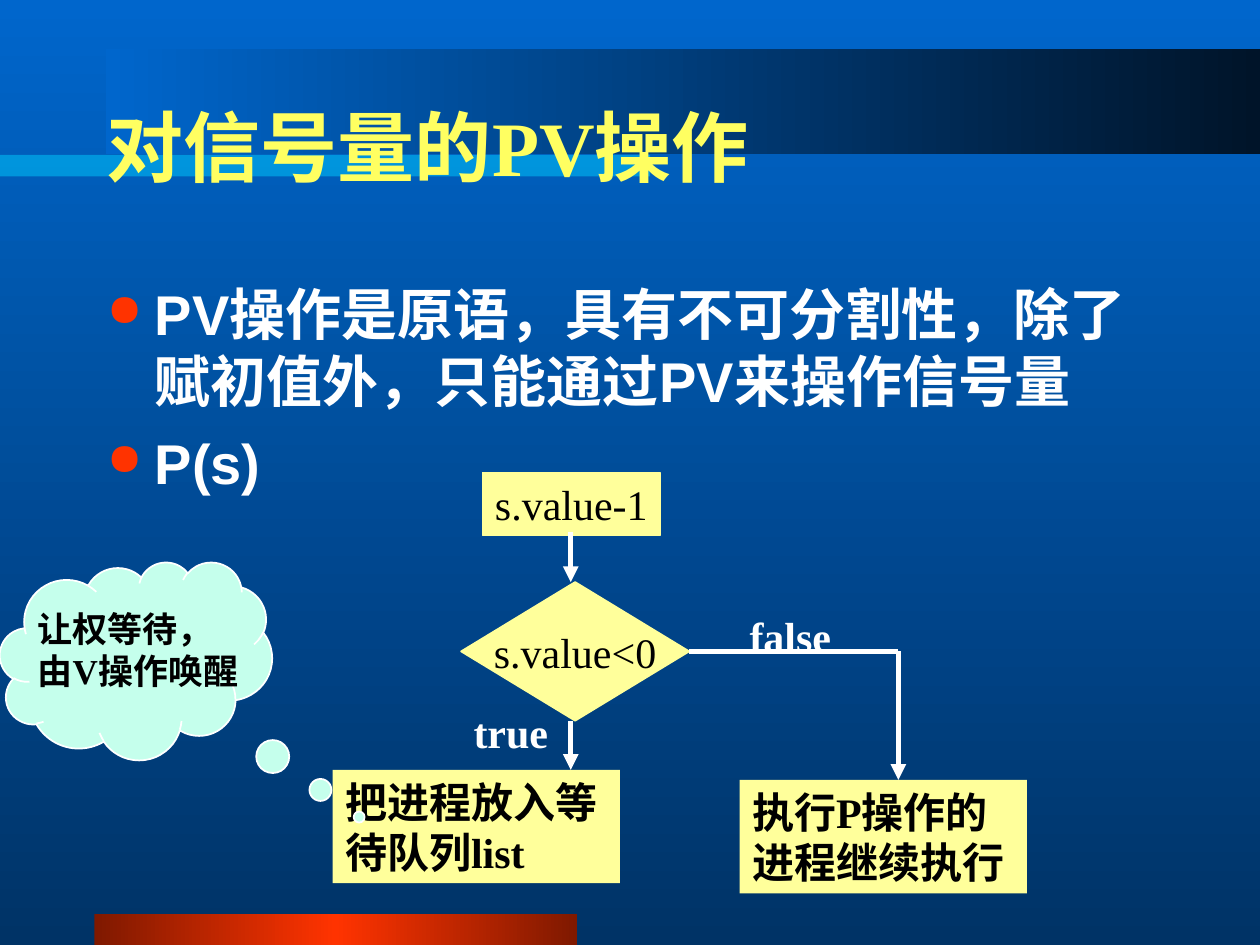
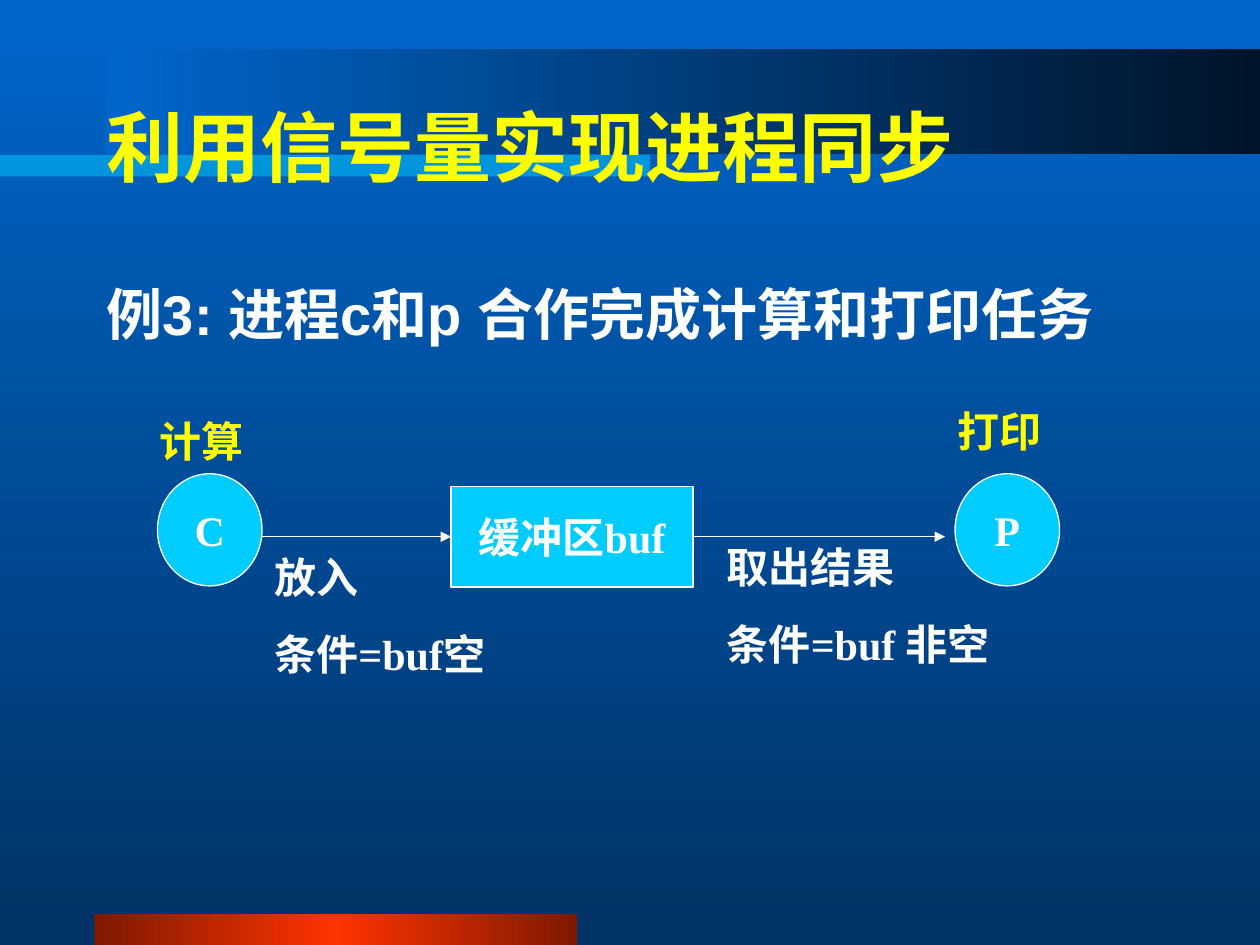
from copy import deepcopy

from lxml.etree import SubElement
from pptx import Presentation
from pptx.dml.color import RGBColor
from pptx.enum.shapes import MSO_CONNECTOR, MSO_SHAPE
from pptx.enum.text import MSO_ANCHOR, MSO_AUTO_SIZE, PP_ALIGN
from pptx.oxml.ns import qn
from pptx.util import Inches, Pt

# Shared colours and fonts
SKY = RGBColor(0x00, 0x66, 0xCC)
NAVY = RGBColor(0x00, 0x33, 0x66)
MIDNIGHT = RGBColor(0x00, 0x14, 0x29)
CYAN = RGBColor(0x00, 0xCC, 0xFF)
RED = RGBColor(0xFF, 0x33, 0x00)
DARK_RED = RGBColor(0x7F, 0x19, 0x00)
YELLOW = RGBColor(0xFF, 0xFF, 0x00)
PALE_YELLOW = RGBColor(0xFF, 0xFF, 0x61)
CREAM = RGBColor(0xFF, 0xFF, 0x9B)
MINT = RGBColor(0xC5, 0xFF, 0xEC)
WHITE = RGBColor(0xFF, 0xFF, 0xFF)
BLACK = RGBColor(0x00, 0x00, 0x00)
SERIF = "Times New Roman"
SANS = "Arial"


def fill_gradient(fill, owner, colours, angle=0):
    """Spread the colours evenly along a linear gradient."""
    fill.gradient()
    fill.gradient_angle = angle
    stop_list = next(owner.iter(qn("a:gsLst")))
    while len(stop_list) < len(colours):
        stop_list.append(deepcopy(stop_list[0]))
    for index, (stop, colour) in enumerate(zip(fill.gradient_stops, colours)):
        stop.color.rgb = colour
        stop.position = index / (len(colours) - 1)


def add_block(page, kind, left, top, width, height, fill=None, line=None, line_width=1):
    block = page.shapes.add_shape(
        kind, Inches(left), Inches(top), Inches(width), Inches(height))
    block.shadow.inherit = False
    if fill is not None:
        block.fill.solid()
        block.fill.fore_color.rgb = fill
    if line is None:
        block.line.fill.background()
    else:
        block.line.color.rgb = line
        block.line.width = Pt(line_width)
    return block


def write_text(box, lines, size=24, colour=WHITE, font=SERIF, bold=True, wrap=True,
               grow=False, anchor=MSO_ANCHOR.TOP, align=PP_ALIGN.LEFT, gap=0):
    frame = box.text_frame
    frame.text = "\n".join(lines)
    frame.word_wrap = wrap
    frame.vertical_anchor = anchor
    frame.auto_size = MSO_AUTO_SIZE.SHAPE_TO_FIT_TEXT if grow else MSO_AUTO_SIZE.NONE
    for index, para in enumerate(frame.paragraphs):
        para.alignment = align
        para.space_before = Pt(gap if index else 0)
        for span in para.runs:
            span.font.size = Pt(size)
            span.font.name = font
            span.font.bold = bold
            span.font.color.rgb = colour


def add_text(page, left, top, width, height, lines, **style):
    box = page.shapes.add_textbox(
        Inches(left), Inches(top), Inches(width), Inches(height))
    write_text(box, lines, **style)
    return box


def add_label(page, left, top, width, lines, height=0.5, **style):
    return add_text(page, left, top, width, height, lines, grow=True, **style)


def add_line(page, start, end, width, arrow=True):
    line = page.shapes.add_connector(
        MSO_CONNECTOR.STRAIGHT, *(Inches(value) for value in (*start, *end)))
    line.line.color.rgb = WHITE
    line.line.width = Pt(width)
    if arrow:
        SubElement(line.line._get_or_add_ln(), qn("a:tailEnd"), type="triangle")
    SubElement(line._element.spPr, qn("a:effectLst"))


def add_body(page, width, lines, bulleted=False):
    body = add_text(page, 0.75, 2.17, width, 4.5, lines, size=32, font=SANS, gap=8)
    for para in body.text_frame.paragraphs:
        properties = para._p.get_or_add_pPr()
        properties.set("marL", str(Inches(0.38)))
        properties.set("indent", str(-Inches(0.38)))
        if bulleted:
            colour = SubElement(properties, qn("a:buClr"))
            SubElement(colour, qn("a:srgbClr"), val=str(RED))
            SubElement(properties, qn("a:buSzPct"), val="80000")
            SubElement(properties, qn("a:buChar"), char="●")


def add_page(deck, title, title_colour):
    """Start a slide with the common background, bands and title."""
    page = deck.slides.add_slide(deck.slide_layouts[6])
    fill_gradient(page.background.fill, page._element, (SKY, NAVY), 270)
    footer = add_block(page, MSO_SHAPE.RECTANGLE, 0.75, 7.25, 3.83, 0.25)
    fill_gradient(footer.fill, footer._element, (DARK_RED, RED, DARK_RED))
    band = add_block(page, MSO_SHAPE.RECTANGLE, 0.84, 0.39, 9.16, 0.83)
    fill_gradient(band.fill, band._element, (SKY, MIDNIGHT))
    stripe = add_block(page, MSO_SHAPE.RECTANGLE, -0.01, 1.23, 5.17, 0.17, CYAN)
    stripe_colour = next(stripe._element.spPr.iter(qn("a:srgbClr")))
    SubElement(stripe_colour, qn("a:alpha"), val="50000")
    add_text(page, 0.75, 0.53, 8.5, 1.25, [title], size=44, colour=title_colour,
             anchor=MSO_ANCHOR.MIDDLE)
    return page


def add_pv_slide(deck):
    page = add_page(deck, "对信号量的PV操作", PALE_YELLOW)
    add_body(page, 8.5, ["PV操作是原语，具有不可分割性，除了赋初值外，只能通过PV来操作信号量",
                         "P(s)"], bulleted=True)

    # Flowchart steps
    step = add_block(page, MSO_SHAPE.RECTANGLE, 3.83, 3.75, 1.41, 0.5, CREAM, CREAM)
    write_text(step, ["s.value-1"], colour=BLACK, bold=False, wrap=False, grow=True)
    test = add_block(page, MSO_SHAPE.DIAMOND, 3.66, 4.62, 1.81, 1.1, CREAM, CREAM)
    write_text(test, ["s.value<0"], colour=BLACK, bold=False, wrap=False,
               anchor=MSO_ANCHOR.MIDDLE, align=PP_ALIGN.CENTER)
    for left, top, outcome in ((2.64, 6.11, "把进程放入等待队列list"),
                               (5.87, 6.19, "执行P操作的进程继续执行")):
        result = add_block(page, MSO_SHAPE.RECTANGLE, left, top, 2.28, 0.9, CREAM)
        write_text(result, [outcome], colour=BLACK, grow=True)

    # Flow lines and branch labels
    add_line(page, (4.53, 4.22), (4.53, 4.62), 3)
    add_line(page, (5.47, 5.17), (7.13, 5.17), 3, arrow=False)
    add_line(page, (7.13, 5.17), (7.13, 6.19), 3)
    add_line(page, (4.53, 5.72), (4.53, 6.11), 3)
    add_label(page, 5.85, 4.8, 0.85, ["false"], wrap=False)
    add_label(page, 3.66, 5.56, 0.79, ["true"], wrap=False)

    # Thought cloud
    cloud = add_block(page, MSO_SHAPE.CLOUD_CALLOUT, 0, 4.46, 2.16, 1.57, MINT, WHITE)
    cloud.adjustments[0] = 0.82
    cloud.adjustments[1] = 0.79
    add_label(page, 0.2, 4.77, 2.15, ["让权等待，", "由V操作唤醒"], height=0.77,
              size=20, colour=BLACK)


def add_sync_slide(deck):
    page = add_page(deck, "利用信号量实现进程同步", YELLOW)
    add_body(page, 8.74, ["例3: 进程c和p 合作完成计算和打印任务"])

    # Buffer and the two processes
    for kind, left, top, width, height, name in (
            (MSO_SHAPE.RECTANGLE, 3.58, 3.86, 1.92, 0.8, "缓冲区buf"),
            (MSO_SHAPE.OVAL, 1.25, 3.76, 0.83, 0.89, "C"),
            (MSO_SHAPE.OVAL, 7.58, 3.76, 0.83, 0.89, "P")):
        node = add_block(page, kind, left, top, width, height, CYAN, WHITE, 0.75)
        write_text(node, [name], wrap=False, anchor=MSO_ANCHOR.MIDDLE,
                   align=PP_ALIGN.CENTER)
    add_label(page, 1.17, 3.25, 0.92, ["计算"], colour=YELLOW)
    add_label(page, 7.5, 3.17, 0.92, ["打印"], colour=YELLOW)

    # Transfers through the buffer and their conditions
    add_line(page, (2.08, 4.26), (3.58, 4.26), 0.75)
    add_label(page, 2.08, 4.33, 2.5, ["放入", "条件=buf空"], height=1.11, gap=15)
    add_line(page, (5.5, 4.26), (7.5, 4.26), 0.75)
    add_label(page, 5.67, 4.25, 2.42, ["取出结果", "条件=buf 非空"], height=1.51, gap=15)


def main():
    deck = Presentation()
    deck.slide_width = Inches(10)
    deck.slide_height = Inches(7.5)
    add_pv_slide(deck)
    add_sync_slide(deck)
    deck.save("out.pptx")


if __name__ == "__main__":
    main()
